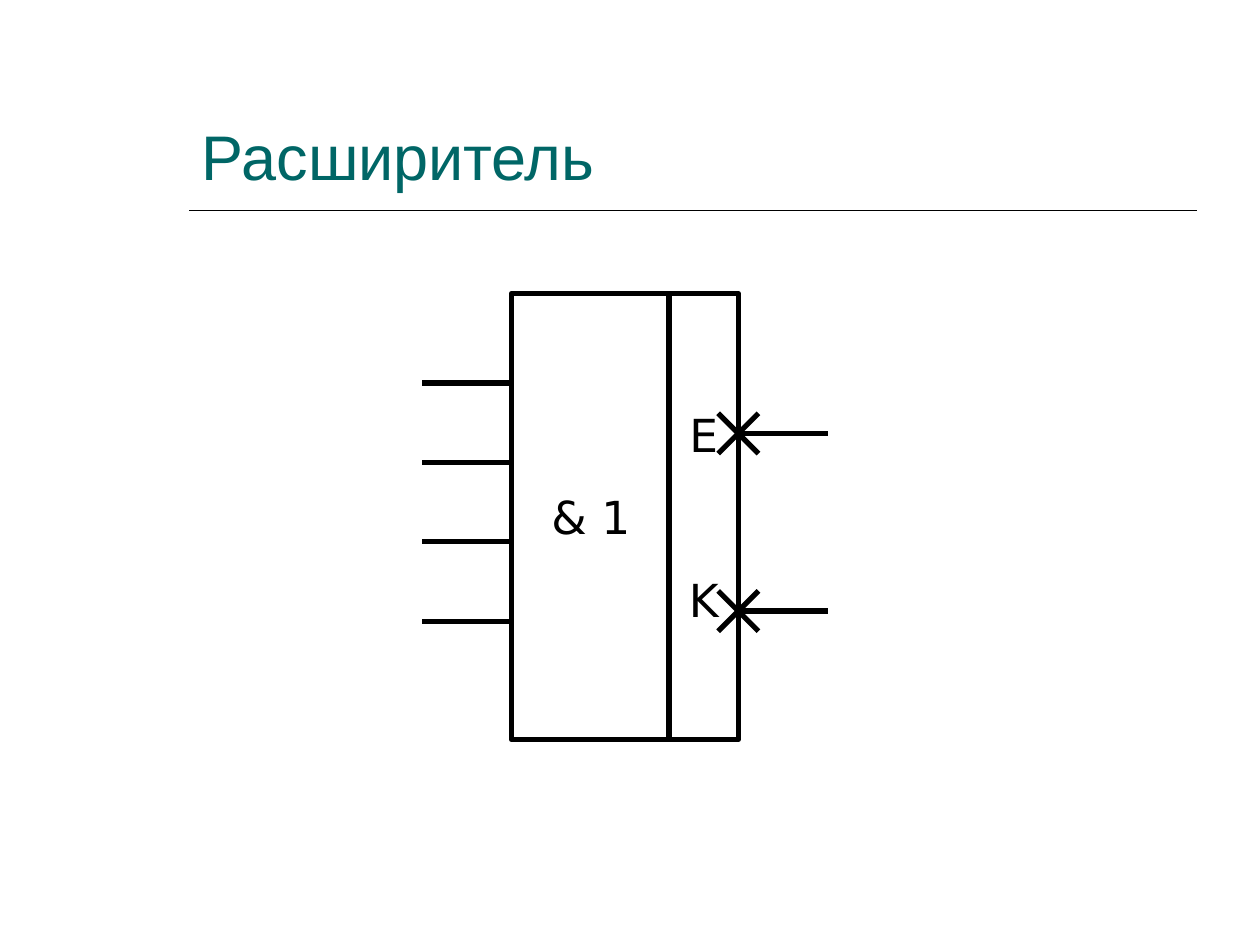
from dataclasses import dataclass

import pptx
import pptx.dml.color
import pptx.enum.shapes
import pptx.enum.text
import pptx.oxml.ns
import pptx.slide
import pptx.util
from lxml import etree

Inches = pptx.util.Inches
Pt = pptx.util.Pt

COLORS = {"ink": "000000", "paper": "FFFFFF", "title": "006666"}
TITLE_FONT = "Arial"
SYMBOL_FONT = "DejaVu Sans"
SYMBOL_TOP, SYMBOL_HEIGHT = 2.33, 3.54
BODY_LEFT, BODY_WIDTH = 4.06, 1.26
OUTPUT_LEFT, OUTPUT_WIDTH = 5.31, 0.55
SYMBOL_RIGHT = OUTPUT_LEFT + OUTPUT_WIDTH
LEAD_LENGTH = 0.71
INPUT_COUNT, FIRST_INPUT, INPUT_GAP = 4, 3.04, 0.63
EXPANDER_LEVELS = (3.44, 4.85)
CROSS_ARM = 0.16


@dataclass(frozen=True)
class Field:
    left: float
    width: float
    labels: tuple[str, ...]
    label_gap: float = 0


@dataclass(frozen=True)
class Line:
    x1: float
    y1: float
    x2: float
    y2: float
    weight: float = 3


def rgb(name: str) -> pptx.dml.color.RGBColor:
    return pptx.dml.color.RGBColor.from_string(COLORS[name])


def draw_field(slide: pptx.slide.Slide, field: Field) -> None:
    box = slide.shapes.add_shape(
        pptx.enum.shapes.MSO_SHAPE.RECTANGLE,
        Inches(field.left), Inches(SYMBOL_TOP),
        Inches(field.width), Inches(SYMBOL_HEIGHT),
    )
    box.shadow.inherit = False
    box.fill.solid()
    box.fill.fore_color.rgb = rgb("paper")
    box.line.color.rgb = rgb("ink")
    box.line.width = Pt(3)
    frame = box.text_frame
    frame.word_wrap = False
    frame.vertical_anchor = pptx.enum.text.MSO_ANCHOR.MIDDLE
    frame.text = "\n".join(field.labels)
    for index, paragraph in enumerate(frame.paragraphs):
        paragraph.alignment = pptx.enum.text.PP_ALIGN.CENTER
        if index:
            paragraph.space_before = Pt(field.label_gap)
        paragraph.font.name = SYMBOL_FONT
        paragraph.font.size = Pt(26)
        paragraph.font.color.rgb = rgb("ink")


def draw_line(slide: pptx.slide.Slide, line: Line) -> None:
    connector = slide.shapes.add_connector(
        pptx.enum.shapes.MSO_CONNECTOR.STRAIGHT,
        Inches(line.x1), Inches(line.y1), Inches(line.x2), Inches(line.y2),
    )
    connector.line.color.rgb = rgb("ink")
    connector.line.width = Pt(line.weight)
    etree.SubElement(connector._element.spPr, pptx.oxml.ns.qn("a:effectLst"))


def draw_title(slide: pptx.slide.Slide, text: str) -> None:
    title = slide.shapes.title
    title.left, title.top = Inches(1.5), Inches(0.05)
    title.width, title.height = Inches(8), Inches(1.53)
    title.text_frame.text = text
    title.text_frame.vertical_anchor = pptx.enum.text.MSO_ANCHOR.BOTTOM
    heading = title.text_frame.paragraphs[0]
    heading.alignment = pptx.enum.text.PP_ALIGN.LEFT
    heading.font.name = TITLE_FONT
    heading.font.size = Pt(36)
    heading.font.color.rgb = rgb("title")


def draw_expander_lead(slide: pptx.slide.Slide, level: float) -> None:
    left, right = SYMBOL_RIGHT - CROSS_ARM, SYMBOL_RIGHT + CROSS_ARM
    top, bottom = level - CROSS_ARM, level + CROSS_ARM
    draw_line(slide, Line(SYMBOL_RIGHT, level, SYMBOL_RIGHT + LEAD_LENGTH, level))
    draw_line(slide, Line(left, bottom, right, top))
    draw_line(slide, Line(left, top, right, bottom))


def main() -> None:
    presentation = pptx.Presentation()
    presentation.slide_width = Inches(10)
    presentation.slide_height = Inches(7.5)
    slide = presentation.slides.add_slide(presentation.slide_layouts[5])

    draw_title(slide, "Расширитель")
    draw_line(slide, Line(1.5, 1.67, 9.5, 1.67, weight=1))
    draw_field(slide, Field(BODY_LEFT, BODY_WIDTH, ("& 1",)))
    draw_field(slide, Field(OUTPUT_LEFT, OUTPUT_WIDTH, ("E", "K"), label_gap=63))
    for index in range(INPUT_COUNT):
        level = FIRST_INPUT + index * INPUT_GAP
        draw_line(slide, Line(BODY_LEFT - LEAD_LENGTH, level, BODY_LEFT, level))
    for level in EXPANDER_LEVELS:
        draw_expander_lead(slide, level)

    presentation.save("out.pptx")


if __name__ == "__main__":
    main()
